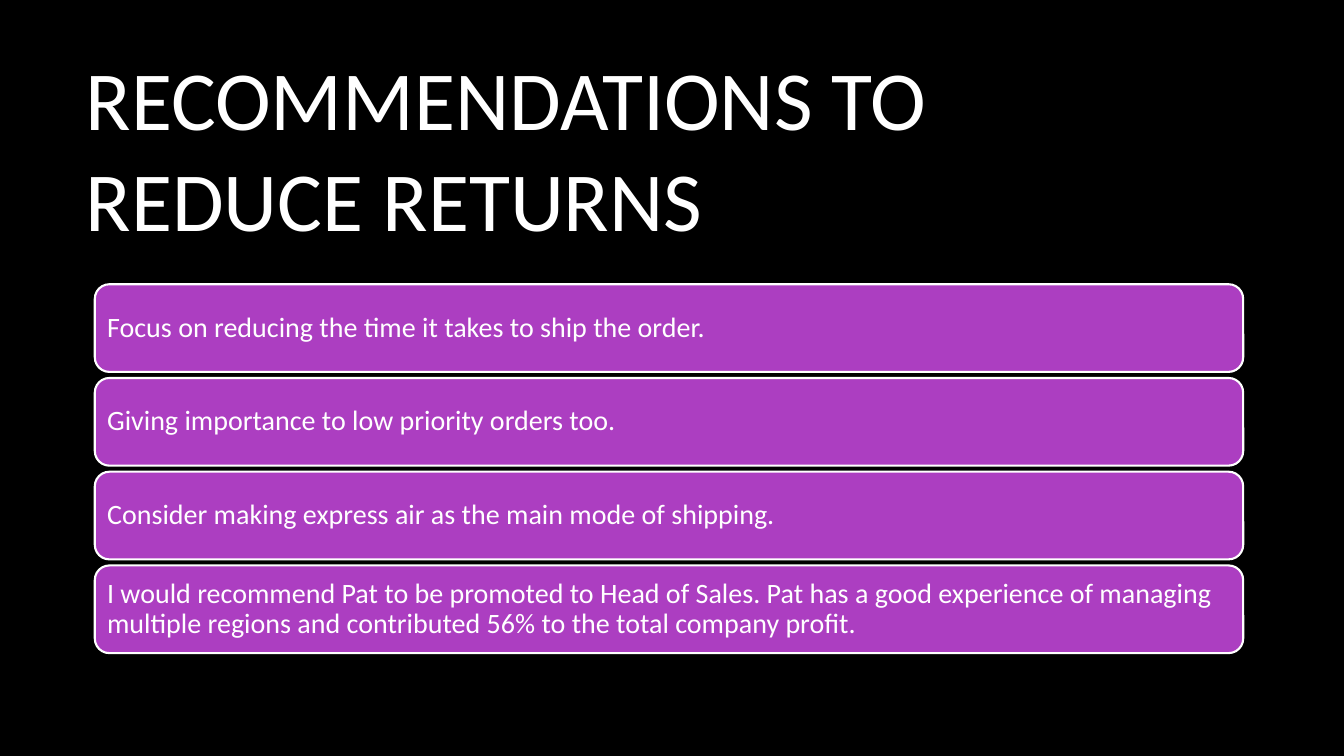
from pptx import Presentation, util as u
from pptx.dml.color import RGBColor
from pptx.enum import shapes, text

WIDE, HIGH = 13.33, 7.5
LEFT, TOP, PITCH = 0.94, 2.82, 0.93
BAR_W, BAR_H = 11.39, 0.87
WHITE, BLACK, PURPLE = "FFFFFF", "000000", "AC3EC1"

ADVICE = [
    "Focus on reducing the time it takes to ship the order.",
    "Giving importance to low priority orders too.",
    "Consider making express air as the main mode of shipping.",
    "I would recommend Pat to be promoted to Head of Sales. Pat has a good "
    "experience of managing multiple regions and contributed 56% to the "
    "total company profit.",
]


def paint(part, color):
    part.solid()
    part.fore_color.rgb = RGBColor.from_string(color)


def write(frame, words, size):
    """Fill a frame with one left-aligned white paragraph."""
    frame.word_wrap = True
    frame.auto_size = text.MSO_AUTO_SIZE.NONE
    frame.vertical_anchor = text.MSO_ANCHOR.MIDDLE
    para = frame.paragraphs[0]
    para.text = words
    para.alignment = text.PP_ALIGN.LEFT
    para.font.name = "Calibri"
    para.font.size = u.Pt(size)
    paint(para.font.fill, WHITE)
    return para


def add_title(slide, words):
    title = slide.shapes.title
    title.left, title.top = u.Inches(0.75), u.Inches(0.67)
    title.width, title.height = u.Inches(11.08), u.Inches(1.59)
    write(title.text_frame, words, 60)


def add_bar(slide, row, words):
    bar = slide.shapes.add_shape(
        shapes.MSO_SHAPE.ROUNDED_RECTANGLE,
        u.Inches(LEFT), u.Inches(TOP + row * PITCH),
        u.Inches(BAR_W), u.Inches(BAR_H))
    bar.shadow.inherit = False
    paint(bar.fill, PURPLE)
    paint(bar.line.fill, WHITE)
    bar.line.width = u.Pt(1.5)
    frame = bar.text_frame
    frame.margin_left = frame.margin_right = u.Inches(0.08)
    frame.margin_top = frame.margin_bottom = u.Inches(0.08)
    write(frame, words, 20).line_spacing = 0.9


def main():
    deck = Presentation()
    deck.slide_width, deck.slide_height = u.Inches(WIDE), u.Inches(HIGH)
    slide = deck.slides.add_slide(deck.slide_layouts[5])
    paint(slide.background.fill, BLACK)
    add_title(slide, "RECOMMENDATIONS TO REDUCE RETURNS")
    for row, words in enumerate(ADVICE):
        add_bar(slide, row, words)
    deck.save("out.pptx")


if __name__ == "__main__":
    main()
